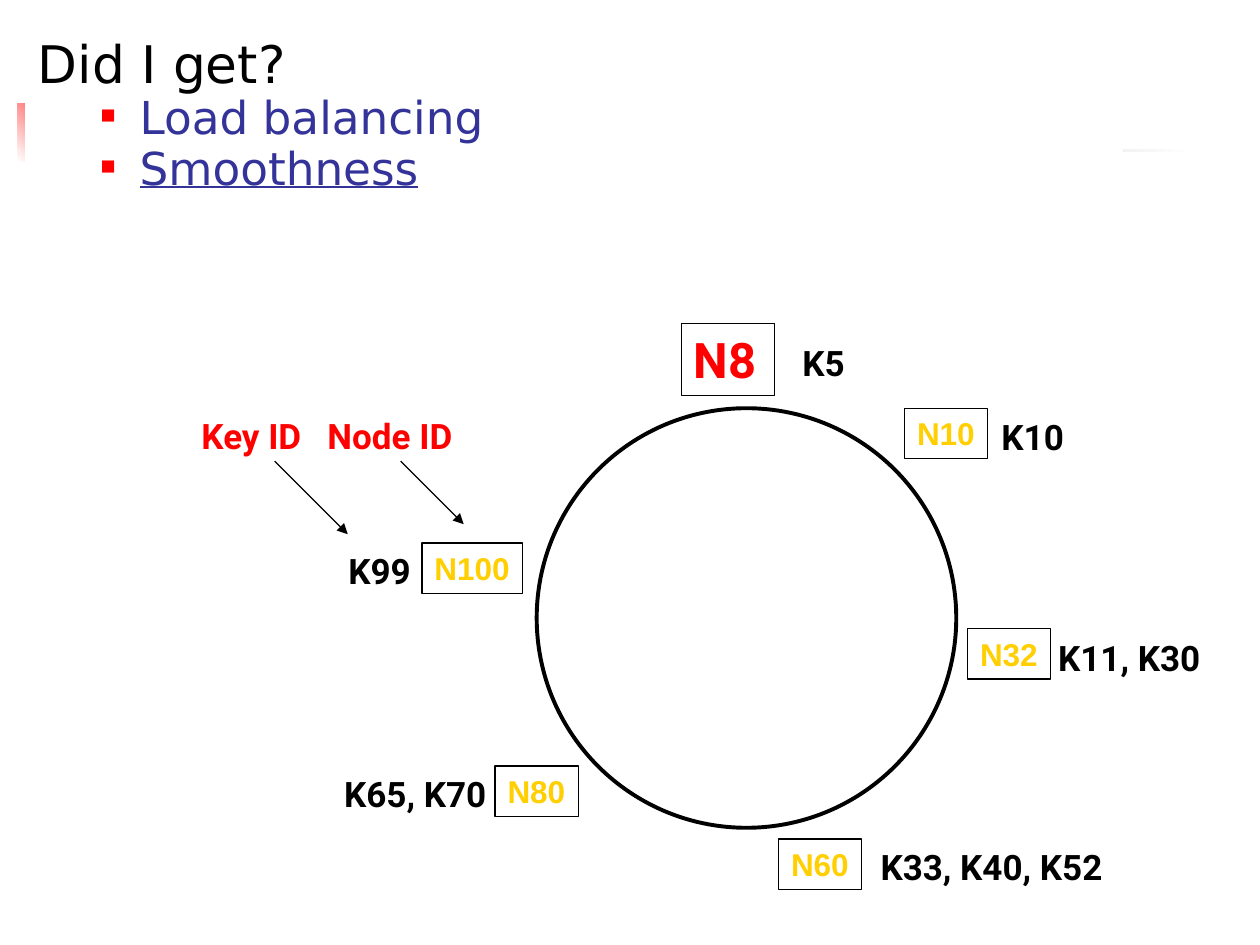
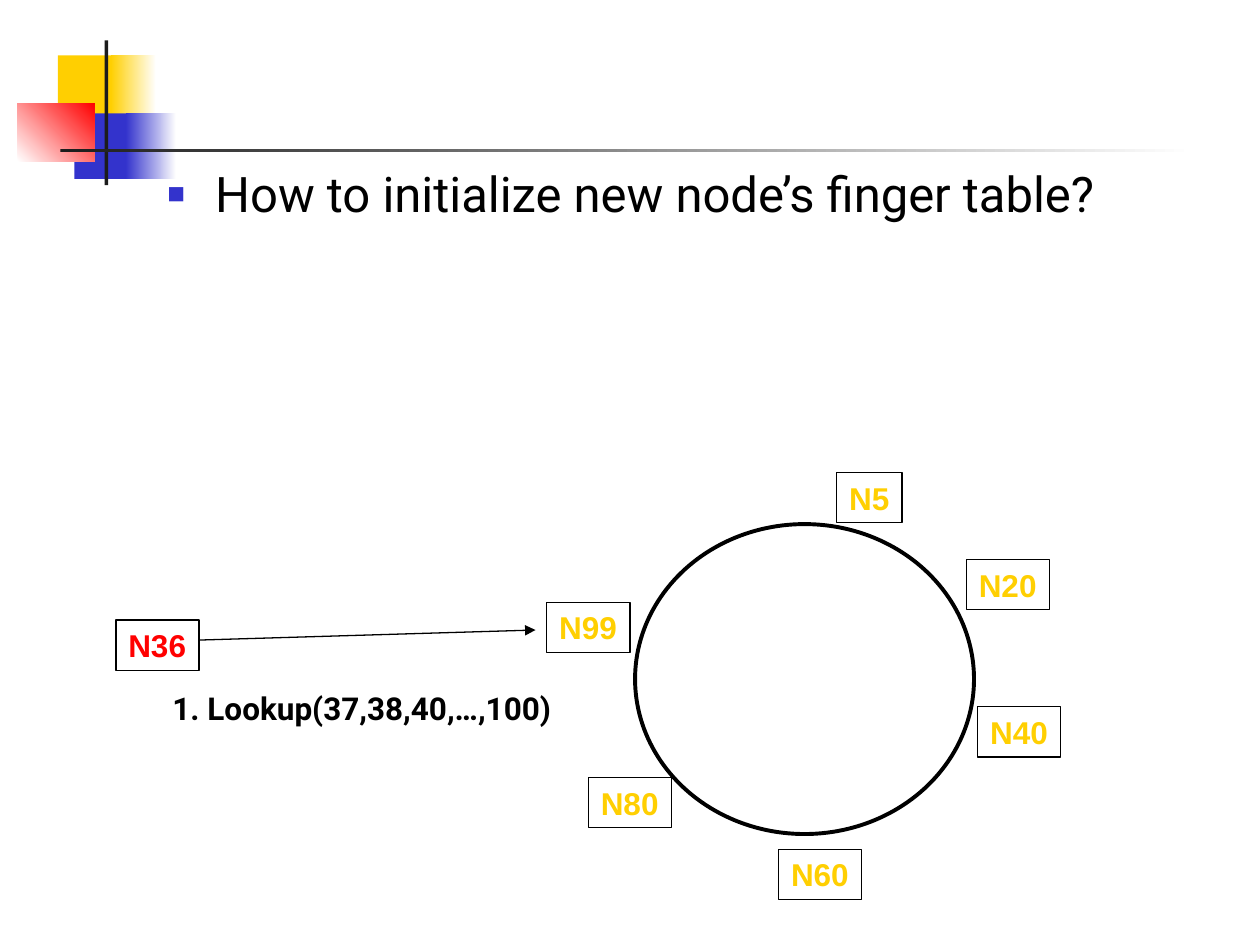
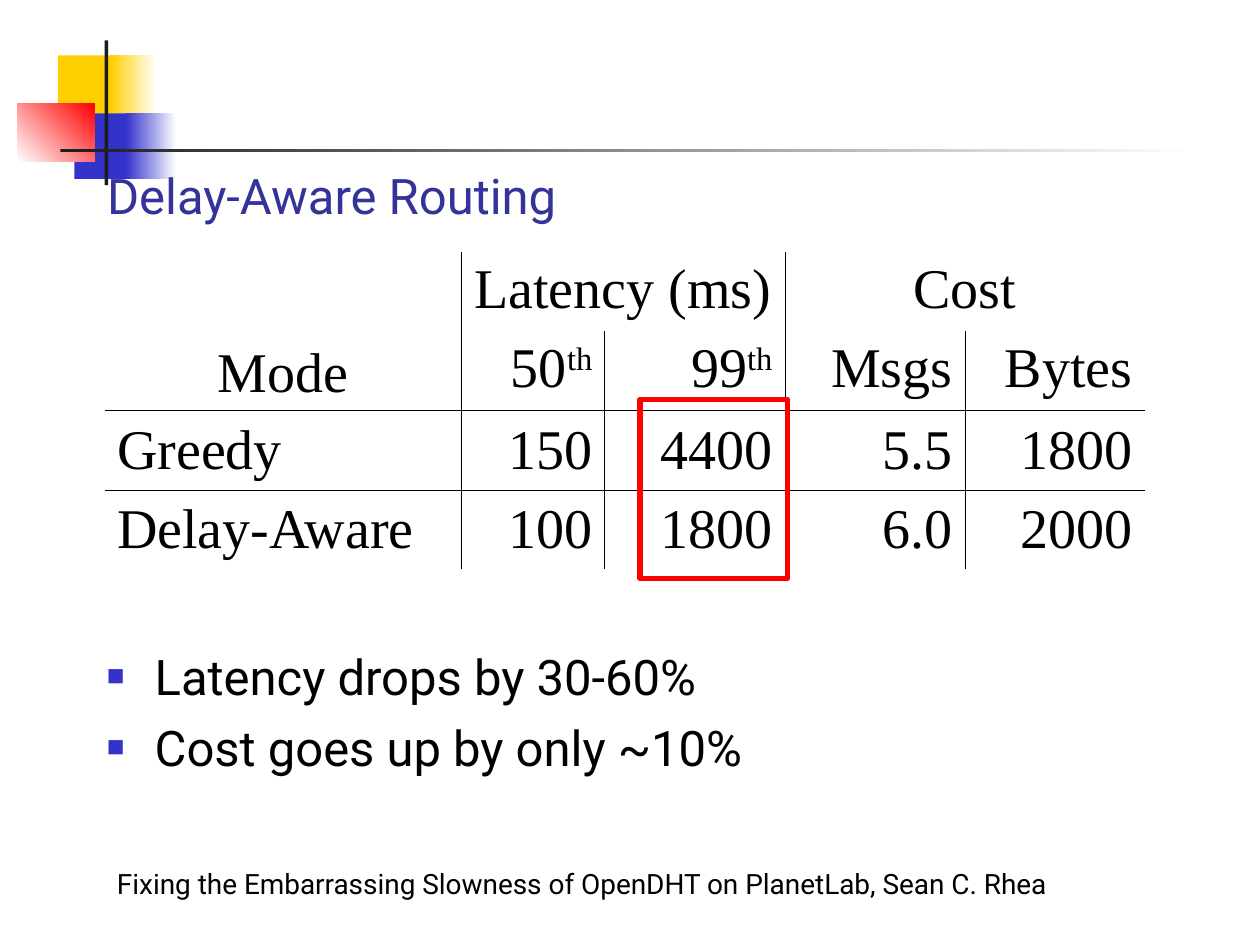
from lxml.etree import SubElement
from pptx import Presentation
from pptx.dml.color import RGBColor
from pptx.enum.shapes import MSO_CONNECTOR, MSO_SHAPE
from pptx.enum.text import MSO_ANCHOR, MSO_AUTO_SIZE, PP_ALIGN
from pptx.oxml.ns import qn
from pptx.util import Inches, Pt

BLACK = RGBColor(0x00, 0x00, 0x00)
WHITE = RGBColor(0xFF, 0xFF, 0xFF)
RED = RGBColor(0xFF, 0x00, 0x00)
GOLD = RGBColor(0xFF, 0xCF, 0x01)
BLUE = RGBColor(0x33, 0x33, 0xCC)
NAVY = RGBColor(0x33, 0x33, 0x99)
DARK = RGBColor(0x1C, 0x1C, 0x1C)
BODY, NODE, HEAD, SERIF = "Roboto", "Arial", "DejaVu Sans", "Times New Roman"
LEFT, MID, RIGHT = PP_ALIGN.LEFT, PP_ALIGN.CENTER, PP_ALIGN.RIGHT
PLAIN = "{2D5ABB26-0587-4C30-8999-92F81FD0307C}"  # table style without grid


def add_bullet(para, color, size, indent, hang):
    props = para._p.get_or_add_pPr()
    props.set("marL", str(Inches(indent)))
    props.set("indent", str(-Inches(hang)))
    tint = SubElement(props, qn("a:buClr"))
    SubElement(tint, qn("a:srgbClr"), val=str(color))
    SubElement(props, qn("a:buSzPct"), val=str(size * 1000))
    SubElement(props, qn("a:buFont"), typeface=NODE)
    SubElement(props, qn("a:buChar"), char="■")


def write(frame, text, size=20, font=BODY, color=BLACK, bold=False, align=LEFT,
          space=None, gap=0, bullet=None, under=()):
    """Each line is a paragraph; what follows ^ is raised."""
    for i, line in enumerate(text.split("\n")):
        para = frame.add_paragraph() if i else frame.paragraphs[0]
        if bullet:
            add_bullet(para, *bullet)
        para.alignment = align
        if space:
            para.line_spacing = space
        if i and gap:
            para.space_before = Pt(gap)
        for j, part in enumerate(line.split("^")):
            run = para.add_run()
            run.text = part
            run.font.size = Pt(size)
            run.font.name = font
            run.font.color.rgb = color
            run.font.bold = bold
            if line in under:
                run.font.underline = True
            if j:
                run._r.get_or_add_rPr().set("baseline", "30000")


class Deck:
    def __init__(self):
        self.show = Presentation()
        self.show.slide_width, self.show.slide_height = Inches(10), Inches(7.5)
        self.slide = None

    def start(self, titled=False):
        layout = self.show.slide_layouts[5 if titled else 6]
        self.slide = self.show.slides.add_slide(layout)

    def shape(self, x, y, w, h, kind=MSO_SHAPE.RECTANGLE, fill=None, fade=None,
              angle=0, line=None, width=0.75):
        item = self.slide.shapes.add_shape(
            kind, Inches(x), Inches(y), Inches(w), Inches(h))
        item.shadow.inherit = False
        if fade:
            item.fill.gradient()
            item.fill.gradient_angle = angle
            for stop, color in zip(item.fill.gradient_stops, (fill, fade)):
                stop.color.rgb = color
        elif fill is not None:
            item.fill.solid()
            item.fill.fore_color.rgb = fill
        else:
            item.fill.background()
        if line is not None:
            item.line.color.rgb = line
            item.line.width = Pt(width)
        else:
            item.line.fill.background()
        return item

    def band(self, full=True):
        """The corner blocks and the fading rule."""
        if full:
            for x, y, w, next_x, next_w, color in (
                    (0.46, 0.44, 0.48, 0.88, 0.36, GOLD),
                    (0.59, 0.9, 0.46, 1, 0.4, BLUE)):
                self.shape(x, y, w, 0.52, fill=color)
                self.shape(next_x, y, next_w, 0.52, fill=color, fade=WHITE)
        self.shape(0.14, 0.82, 0.61, 0.46, fill=WHITE, fade=RED, angle=45)
        if full:
            self.shape(0.83, 0.32, 0.03, 1.15, fill=DARK)
        self.shape(0.48, 1.18, 9, 0.03, fill=DARK, fade=WHITE)

    def title(self, text, x, y, w, h, anchor, fill=None, top=0.05, **style):
        item = self.slide.shapes.title
        item.left, item.top = Inches(x), Inches(y)
        item.width, item.height = Inches(w), Inches(h)
        if fill is not None:
            item.fill.solid()
            item.fill.fore_color.rgb = fill
        frame = item.text_frame
        frame.auto_size = MSO_AUTO_SIZE.NONE
        frame.vertical_anchor = anchor
        frame.margin_top = Inches(top)
        write(frame, text, **style)
        self.slide.shapes._spTree.append(item._element)  # above the band

    def text(self, text, x, y, w, h=0.44, wrap=False, **style):
        box = self.slide.shapes.add_textbox(
            Inches(x), Inches(y), Inches(w), Inches(h))
        box.text_frame.word_wrap = wrap
        write(box.text_frame, text, **style)

    def items(self, text, x, y, w, h):
        self.text(text, x, y, w, h, wrap=True, size=28, gap=7,
                  bullet=(BLUE, 60, 0.38, 0.38))

    def node(self, text, x, y, w=0.66, h=0.4, size=18, font=NODE, color=GOLD):
        frame = self.shape(x, y, w, h, line=BLACK).text_frame
        frame.word_wrap = False
        frame.vertical_anchor = MSO_ANCHOR.TOP
        write(frame, text, size=size, font=font, color=color, bold=True)

    def ring(self, x, y, w, h):
        self.shape(x, y, w, h, MSO_SHAPE.OVAL, line=BLACK, width=2.25)

    def arrow(self, x, y, end_x, end_y):
        item = self.slide.shapes.add_connector(
            MSO_CONNECTOR.STRAIGHT, Inches(x), Inches(y),
            Inches(end_x), Inches(end_y))
        item.line.color.rgb = BLACK
        item.line.width = Pt(0.75)
        SubElement(item.line._get_or_add_ln(), qn("a:tailEnd"), type="triangle")
        SubElement(item._element.spPr, qn("a:effectLst"))

    def edge(self, cell, side):
        line = SubElement(cell._tc.get_or_add_tcPr(), qn("a:" + side),
                          w=str(Pt(0.45)))
        fill = SubElement(line, qn("a:solidFill"))
        SubElement(fill, qn("a:srgbClr"), val=str(BLACK))

    def table(self, rows, x, y, widths, height, spans):
        """Two head rows; rules at the left of columns 1 and 3."""
        grid = self.slide.shapes.add_table(
            len(rows), len(widths), Inches(x), Inches(y),
            Inches(sum(widths)), Inches(height * len(rows))).table
        grid.first_row = grid.horz_banding = False
        grid._tbl.tblPr.find(qn("a:tableStyleId")).text = PLAIN
        for col, width in zip(grid.columns, widths):
            col.width = Inches(width)
        for first, last in spans:
            grid.cell(*first).merge(grid.cell(*last))
        for r, row in enumerate(rows):
            grid.rows[r].height = Inches(height)
            for c, text in enumerate(row):
                cell = grid.cell(r, c)
                if c in (1, 3):
                    self.edge(cell, "lnL")
                if r == 2:
                    self.edge(cell, "lnT")
                cell.fill.background()
                if r > 1:
                    cell.vertical_anchor = MSO_ANCHOR.MIDDLE
                elif c == 0:
                    cell.vertical_anchor = MSO_ANCHOR.BOTTOM
                if text:
                    align = MID if r == 0 else RIGHT if c else LEFT
                    write(cell.text_frame, text, size=32, font=SERIF, align=align)


def keys(deck):
    deck.start(titled=True)
    deck.band(full=False)
    deck.title("Did I get?", 0.2, 0.29, 8.71, 1.26, MSO_ANCHOR.TOP, fill=WHITE,
               top=0.1, size=29.6, font=HEAD, space=0.7)
    deck.text("Load balancing\nSmoothness", 0.2, 0.78, 8.71, 0.75, wrap=True,
              size=25.9, font=HEAD, color=NAVY, space=0.7, gap=7,
              bullet=(RED, 55, 0.81, 0.31), under=("Smoothness",))

    # Ring with its nodes and their keys
    deck.ring(4.26, 3.24, 3.33, 3.33)
    deck.node("N8", 5.41, 2.57, 0.74, 0.57, size=28, font=BODY, color=RED)
    deck.node("N100", 3.35, 4.31, 0.8)
    for name, x, y in (("N10", 7.18, 3.24), ("N32", 7.68, 4.99),
                       ("N60", 6.18, 6.66), ("N80", 3.93, 6.08)):
        deck.node(name, x, y)
    for name, x, y, w, align in (
            ("K5", 6.27, 2.66, 0.54, LEFT), ("K10", 7.85, 3.25, 0.7, LEFT),
            ("K11, K30", 8.3, 5, 1.36, LEFT),
            ("K33, K40, K52", 6.89, 6.66, 2.01, LEFT),
            ("K65, K70", 2.6, 6.08, 1.36, RIGHT),
            ("K99", 2.66, 4.31, 0.7, RIGHT)):
        deck.text(name, x, y, w, bold=True, align=align)

    # Legend
    for name, x, w, tip, drop in (("Key ID", 1.5, 0.99, 2.18, 0.58),
                                  ("Node ID", 2.5, 1.19, 3.18, 0.5)):
        deck.text(name, x, 3.24, w, bold=True, color=RED)
        deck.arrow(tip, 3.66, tip + drop, 3.66 + drop)


def finger(deck):
    deck.start()
    deck.band()
    deck.items("How to initialize new node’s finger table?", 1.23, 1.25, 8.5, 0.6)

    # New node asks the ring
    deck.node("N36", 0.92, 4.92, color=RED)
    deck.text("1. Lookup(37,38,40,…,100)", 1.27, 5.42, 3.36, 0.4, size=18, bold=True)
    deck.arrow(1.58, 5.08, 4.25, 5)
    deck.ring(5.04, 4.16, 2.69, 2.46)
    deck.node("N5", 6.64, 3.75, 0.52)
    for name, x, y in (("N20", 7.67, 4.44), ("N40", 7.76, 5.61),
                       ("N60", 6.18, 6.74), ("N80", 4.67, 6.17),
                       ("N99", 4.34, 4.78)):
        deck.node(name, x, y)


def delay(deck):
    deck.start(titled=True)
    deck.band()
    deck.title("Delay-Aware Routing", 0.75, 0.58, 8.5, 1.25, MSO_ANCHOR.BOTTOM,
               size=28, color=NAVY)

    # Results, with the tail latency framed
    rows = (("Mode", "Latency (ms)", "", "Cost", ""),
            ("", "50^th", "99^th", "Msgs", "Bytes"),
            ("Greedy", "150", "4400", "5.5", "1800"),
            ("Delay-Aware", "100", "1800", "6.0", "2000"))
    deck.table(rows, 0.83, 2, (2.83, 1.14, 1.43, 1.43, 1.43), 0.63,
               (((0, 0), (1, 0)), ((0, 1), (0, 2)), ((0, 3), (0, 4))))
    deck.shape(5.08, 3.17, 1.17, 1.42, line=RED, width=3)

    # Findings and source
    deck.items("Latency drops by 30-60%\nCost goes up by only ~10%",
               0.75, 5.08, 8.5, 1.75)
    deck.text("Fixing the Embarrassing Slowness of OpenDHT on PlanetLab, Sean C. Rhea",
              0.83, 6.83, 8.02, 0.51, wrap=True, size=16)


def main():
    deck = Deck()
    for build in (keys, finger, delay):
        build(deck)
    deck.show.save("out.pptx")


if __name__ == "__main__":
    main()
